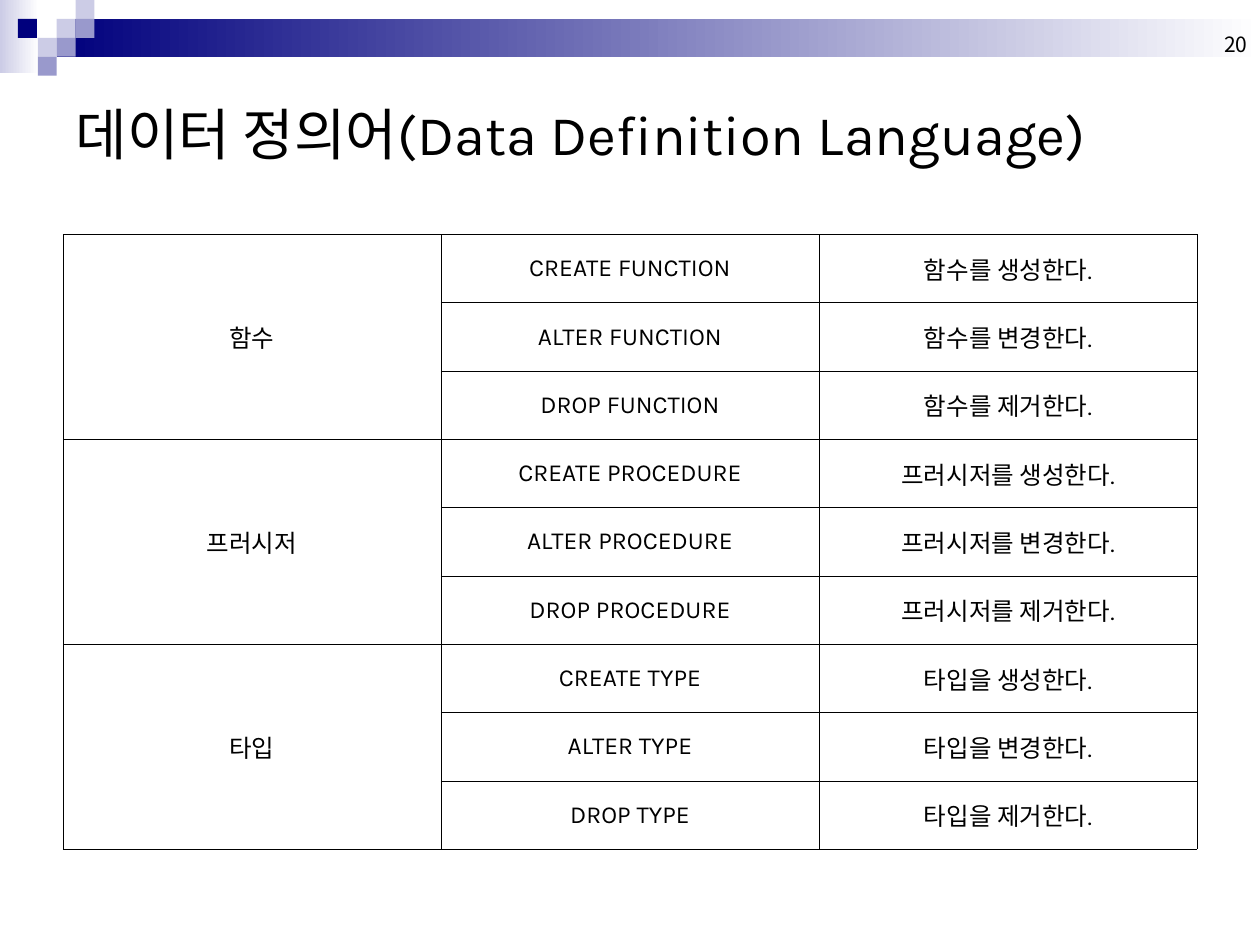
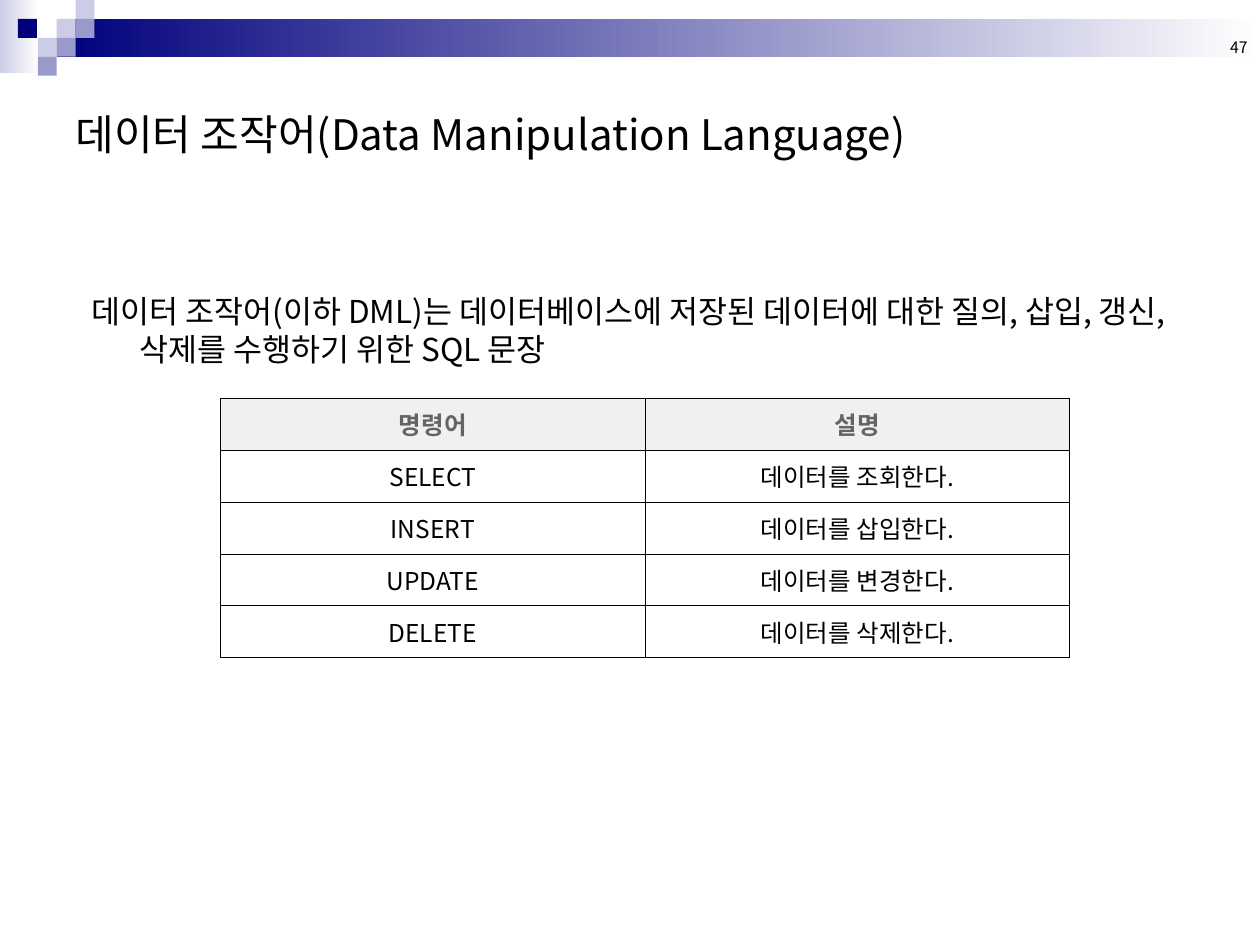
from pptx import Presentation
from pptx.dml.color import RGBColor
from pptx.enum.shapes import MSO_SHAPE
from pptx.enum.text import MSO_ANCHOR, MSO_AUTO_SIZE, PP_ALIGN
from pptx.oxml.ns import qn
from pptx.util import Inches, Pt
from lxml import etree

RECT = MSO_SHAPE.RECTANGLE
LEFT, CENTER, RIGHT = PP_ALIGN.LEFT, PP_ALIGN.CENTER, PP_ALIGN.RIGHT
TOP, MIDDLE, BOTTOM = MSO_ANCHOR.TOP, MSO_ANCHOR.MIDDLE, MSO_ANCHOR.BOTTOM
FIXED = MSO_AUTO_SIZE.NONE

# Shared colours and fonts
NAVY, LILAC, PALE, WHITE = "00007D", "9999CC", "CCCCE6", "FFFFFF"
BLACK, GREY, HEAD = "000000", "646464", "F0F0F0"
KARLA, NOTO = "Karla", "Noto Sans CJK KR"


def color(code):
    return RGBColor.from_string(code)


def inches(box):
    return [Inches(v) for v in box]


def write(frame, text, size=14, font=NOTO, ink=BLACK, bold=False,
          align=LEFT, hang=0, lead=None):
    para = frame.paragraphs[0]
    para.alignment = align
    para.line_spacing = lead
    if hang:
        props = para._p.get_or_add_pPr()
        props.set("marL", str(Inches(hang)))
        props.set("indent", str(-Inches(hang)))
    run = para.add_run()
    run.text = text
    run.font.size, run.font.bold, run.font.name = Pt(size), bold, font
    run.font.color.rgb = color(ink)
    asian = etree.SubElement(run._r.get_or_add_rPr(), qn("a:ea"))
    asian.set("typeface", NOTO)


def add_text(slide, box, text, anchor=TOP, **style):
    frame = slide.shapes.add_textbox(*inches(box)).text_frame
    frame.word_wrap = True
    frame.vertical_anchor = anchor
    write(frame, text, **style)


def add_rect(slide, box, *fills):
    """One fill is solid; two fade from left to right."""
    rect = slide.shapes.add_shape(RECT, *inches(box))
    rect.shadow.inherit = False
    rect.line.fill.background()
    if len(fills) == 1:
        rect.fill.solid()
        rect.fill.fore_color.rgb = color(fills[0])
        return
    rect.fill.gradient()
    rect.fill.gradient_angle = 0
    for stop, code, spot in zip(rect.fill.gradient_stops, fills, (0, 1)):
        stop.color.rgb = color(code)
        stop.position = spot


# Top band with its mosaic of squares
def add_band(slide, box):
    x, y, wide, high = box
    unit = 0.15
    add_rect(slide, (x, y, 0.31, high), PALE, WHITE)
    add_rect(slide, (x + 3 * unit, y + unit, wide - 3 * unit, 2 * unit),
             NAVY, WHITE)
    tiles = [(3, 1, PALE), (4, 0, PALE), (4, 1, LILAC), (2, 2, PALE),
             (0.95, 1, NAVY), (3, 2, LILAC), (2, 3, LILAC)]
    for col, row, code in tiles:
        add_rect(slide, (x + col * unit, y + row * unit, unit, unit), code)


# Band, page number and title
def add_base(deck, title, page, font, size, small):
    slide = deck.slides.add_slide(deck.slide_layouts[5])
    add_band(slide, (0, 0, 10, 0.58))
    add_text(slide, (7.67, 0, 2.33, 0.5), page, anchor=BOTTOM,
             size=small, align=RIGHT)
    head = slide.shapes.title
    head.left, head.top, head.width, head.height = inches((0.5, 0.5, 9, 1.12))
    frame = head.text_frame
    frame.auto_size = FIXED
    frame.word_wrap = True
    frame.vertical_anchor = MIDDLE
    write(frame, title, size=size, font=font)
    return slide


def add_edges(cell):
    props = cell._tc.get_or_add_tcPr()
    for spot, side in enumerate(("a:lnL", "a:lnR", "a:lnT", "a:lnB")):
        line = etree.Element(qn(side), w=str(Pt(0.34)))
        fill = etree.SubElement(line, qn("a:solidFill"))
        etree.SubElement(fill, qn("a:srgbClr"), val=BLACK)
        props.insert(spot, line)


# Ruled table; None continues the cell above it
def add_grid(slide, box, rows, font, header=False):
    wide, high = box[2:]
    count = len(rows[0])
    table = slide.shapes.add_table(len(rows), count, *inches(box)).table
    table.first_row = table.horz_banding = False
    for col in table.columns:
        col.width = Inches(wide / count)
    for r, row in enumerate(rows):
        table.rows[r].height = Inches(high / len(rows))
        top = header and r == 0
        for c, text in enumerate(row):
            cell = table.cell(r, c)
            cell.margin_left = cell.margin_right = Inches(0.04)
            cell.vertical_anchor = MIDDLE
            if top:
                cell.fill.solid()
                cell.fill.fore_color.rgb = color(HEAD)
            else:
                cell.fill.background()
            add_edges(cell)
            if text:
                write(cell.text_frame, text, font=font, align=CENTER,
                      ink=GREY if top else BLACK, bold=top)
    return table


# Commands for functions, procedures and types
def build_ddl(deck):
    slide = add_base(deck, "데이터 정의어(Data Definition Language)", "20",
                     KARLA, 32, 12)
    kinds = [("함수", "함수를", "FUNCTION"),
             ("프러시저", "프러시저를", "PROCEDURE"),
             ("타입", "타입을", "TYPE")]
    verbs = [("CREATE", "생성한다."), ("ALTER", "변경한다."),
             ("DROP", "제거한다.")]
    step = len(verbs)
    rows = [(None if i else name, f"{verb} {word}", f"{thing} {act}")
            for name, thing, word in kinds
            for i, (verb, act) in enumerate(verbs)]
    table = add_grid(slide, (0.5, 1.86, 9, 4.88), rows, KARLA)
    for r in range(0, len(rows), step):
        table.cell(r, 0).merge(table.cell(r + step - 1, 0))


# Definition and commands for handling data
def build_dml(deck):
    slide = add_base(deck, "데이터 조작어(Data Manipulation Language)", "47",
                     NOTO, 24, 9)
    add_text(slide, (0.63, 2.27, 8.87, 0.8),
             "데이터 조작어(이하 DML)는 데이터베이스에 저장된 데이터에 대한 "
             "질의, 삽입, 갱신, 삭제를 수행하기 위한 SQL 문장",
             size=18, hang=0.38)
    acts = [("SELECT", "조회"), ("INSERT", "삽입"),
            ("UPDATE", "변경"), ("DELETE", "삭제")]
    rows = [("명령어", "설명")]
    rows += [(verb, f"데이터를 {act}한다.") for verb, act in acts]
    add_grid(slide, (1.75, 3.16, 6.74, 2.06), rows, NOTO, header=True)


def main():
    deck = Presentation()
    deck.slide_width, deck.slide_height = Inches(10), Inches(7.5)
    build_ddl(deck)
    build_dml(deck)
    deck.save("out.pptx")


if __name__ == "__main__":
    main()
